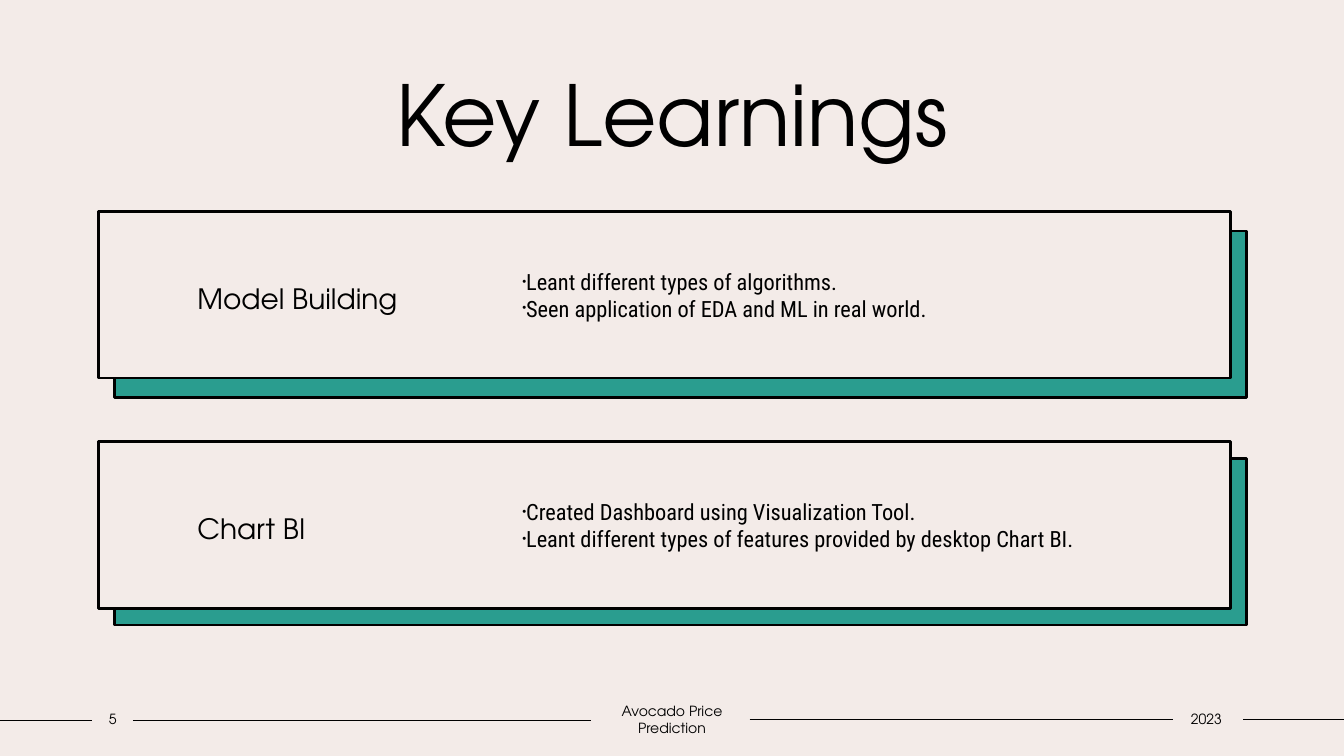
from lxml import etree
from pptx import Presentation
from pptx.dml.color import RGBColor
from pptx.enum.shapes import MSO_CONNECTOR, MSO_SHAPE
from pptx.enum.text import MSO_ANCHOR, MSO_AUTO_SIZE, PP_ALIGN
from pptx.oxml.ns import qn
from pptx.util import Pt

RECTANGLE = MSO_SHAPE.RECTANGLE
STRAIGHT = MSO_CONNECTOR.STRAIGHT
MIDDLE = MSO_ANCHOR.MIDDLE
NO_AUTOFIT = MSO_AUTO_SIZE.NONE
LEFT, CENTER = PP_ALIGN.LEFT, PP_ALIGN.CENTER

BLACK, CREAM, TEAL = "000000", "F3EBE8", "2A9D8F"
HEADING_FONT, BODY_FONT = "TeX Gyre Adventor", "Roboto Condensed"
TITLE_ONLY = 5

CARD_LEFT, CARD_WIDTH, CARD_HEIGHT = 70.5, 808.5, 119
BACKING_LEFT = 82

# card top, backing top, heading, learnings
CARDS = [
    (151, 165, "Model Building", [
        "Leant different types of algorithms.",
        "Seen application of EDA and ML in real world.",
    ]),
    (315.5, 327.5, "Chart BI", [
        "Created Dashboard using Visualization Tool.",
        "Leant different types of features provided by desktop Chart BI.",
    ]),
]
# left, right, y
FOOTER_RULES = [(0, 66, 514.8), (95, 422.5, 514.8),
                (535.5, 838, 514.1), (888, 960, 514.1)]
# left, width, text
FOOTER_LABELS = [(66, 29, "5"), (422.5, 115, "Avocado Price Prediction"),
                 (836.5, 50.5, "2023")]


def color(value):
    return RGBColor.from_string(value)


def set_frame(shape, margins):
    """Wrap and centre vertically; margins are left, top, right, bottom."""
    frame = shape.text_frame
    frame.word_wrap = True
    frame.auto_size = NO_AUTOFIT
    frame.vertical_anchor = MIDDLE
    (frame.margin_left, frame.margin_top,
     frame.margin_right, frame.margin_bottom) = map(Pt, margins)
    return frame


def write(paragraph, text, size, font=HEADING_FONT, align=LEFT):
    paragraph.alignment = align
    run = paragraph.add_run()
    run.text = text
    run.font.name = font
    run.font.size = Pt(size)
    run.font.color.rgb = color(BLACK)


def add_bullet(paragraph):
    properties = paragraph._p.get_or_add_pPr()
    properties.set("marL", "0")
    properties.set("indent", str(-Pt(10.8)))
    etree.SubElement(properties, qn("a:buSzPct")).set("val", "50000")
    etree.SubElement(properties, qn("a:buFont")).set("typeface", "Arial")
    etree.SubElement(properties, qn("a:buChar")).set("char", "•")


def add_rule(slide, left, right, y):
    rule = slide.shapes.add_connector(STRAIGHT, Pt(left), Pt(y), Pt(right), Pt(y))
    rule.line.color.rgb = color(BLACK)
    rule.line.width = Pt(1)
    etree.SubElement(rule._element.spPr, qn("a:effectLst"))


def add_panel(slide, left, top, fill):
    panel = slide.shapes.add_shape(
        RECTANGLE, Pt(left), Pt(top), Pt(CARD_WIDTH), Pt(CARD_HEIGHT))
    panel.shadow.inherit = False
    panel.fill.solid()
    panel.fill.fore_color.rgb = color(fill)
    panel.line.color.rgb = color(BLACK)
    panel.line.width = Pt(2)
    return panel


def add_text_box(slide, left, top, width, height, margins):
    box = slide.shapes.add_textbox(Pt(left), Pt(top), Pt(width), Pt(height))
    return set_frame(box, margins)


def add_card(slide, top, backing_top, heading, learnings):
    add_panel(slide, BACKING_LEFT, backing_top, TEAL)
    card = add_panel(slide, CARD_LEFT, top, CREAM)
    paragraph = set_frame(card, (70.5, 3.6, 511, 3.6)).paragraphs[0]
    paragraph.line_spacing = 1.2
    write(paragraph, heading, 20)

    frame = add_text_box(slide, 366, top + 7.2, 504.5, 104.5, (7.2, 3.6, 7.2, 3.6))
    for index, learning in enumerate(learnings):
        paragraph = frame.add_paragraph() if index else frame.paragraphs[0]
        write(paragraph, learning, 16, BODY_FONT)
        add_bullet(paragraph)


def add_title(slide, text):
    title = slide.shapes.title
    title.left, title.top, title.width, title.height = map(Pt, (90, 40.5, 780.5, 80))
    frame = set_frame(title, (7.2, 3.6, 7.2, 3.6))
    write(frame.paragraphs[0], text, 60, align=CENTER)


def main():
    presentation = Presentation()
    presentation.slide_width, presentation.slide_height = Pt(960), Pt(540)
    slide = presentation.slides.add_slide(presentation.slide_layouts[TITLE_ONLY])
    slide.background.fill.solid()
    slide.background.fill.fore_color.rgb = color(CREAM)

    add_title(slide, "Key Learnings")
    for card in CARDS:
        add_card(slide, *card)
    for rule in FOOTER_RULES:
        add_rule(slide, *rule)
    for left, width, text in FOOTER_LABELS:
        frame = add_text_box(slide, left, 504, width, 19.5, (0, 3.6, 0, 3.6))
        write(frame.paragraphs[0], text, 10, align=CENTER)

    presentation.save("out.pptx")


if __name__ == "__main__":
    main()
